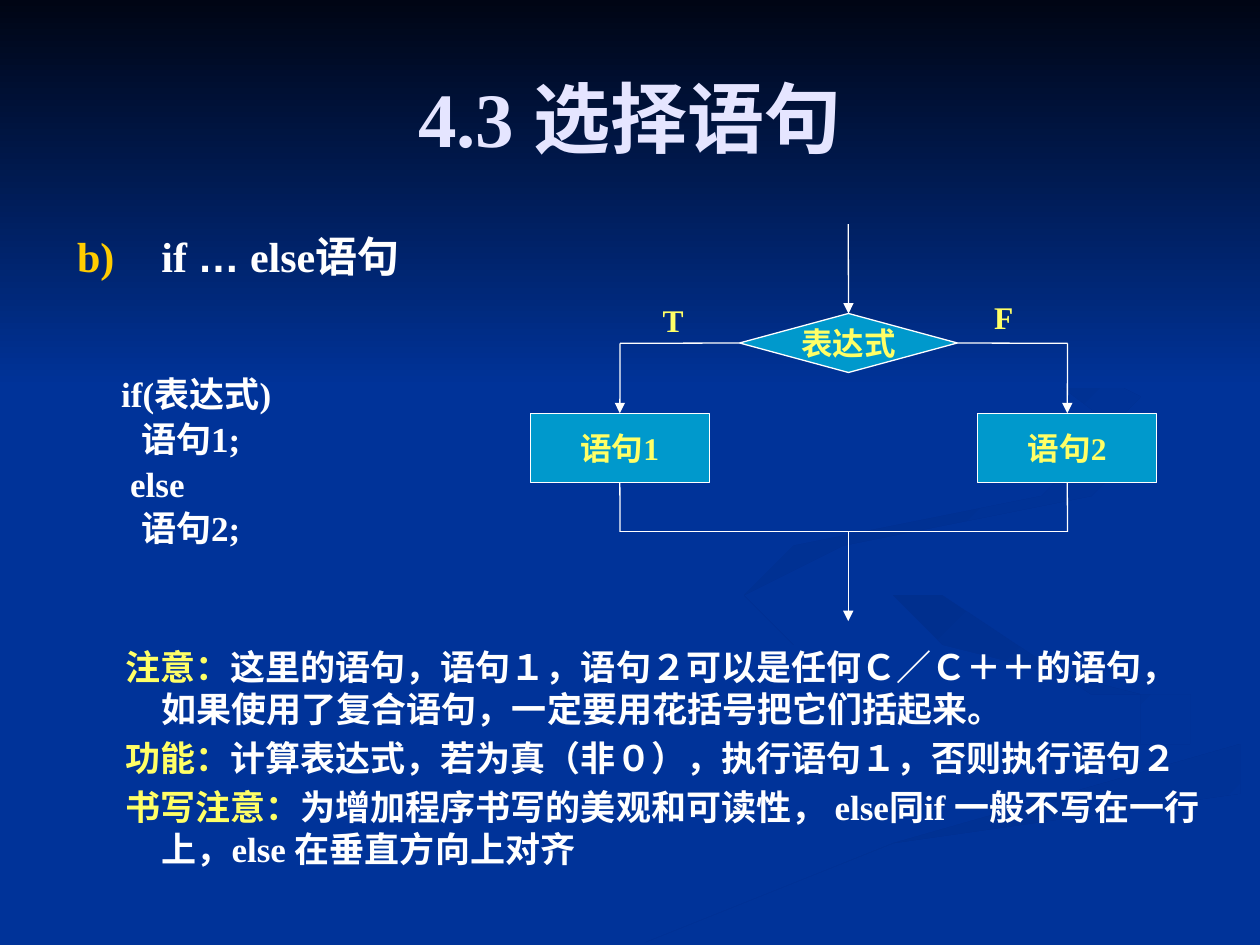
from lxml.etree import SubElement
from pptx import Presentation
from pptx.dml.color import RGBColor
from pptx.enum.shapes import MSO_CONNECTOR, MSO_SHAPE
from pptx.enum.text import MSO_ANCHOR, MSO_AUTO_SIZE, PP_ALIGN
from pptx.oxml.ns import qn
from pptx.util import Cm, Pt

COLORS = {
    "bg": "003399", "night": "000514", "swoosh": "002F8E", "title": "E5E5FF",
    "text": "FFFFFF", "accent": "FFFF66", "bullet": "FFCC00", "box": "0099CC",
}
SERIF = "Times New Roman"


def add_run(p, text, size, color, font=SERIF):
    r = p.add_run()
    r.text = text
    r.font.name = font
    r.font.size = Pt(size)
    r.font.bold = True
    r.font.color.rgb = RGBColor.from_string(COLORS[color])


def add_line(start, end, arrow=False, source=None, target=None):
    """Draw a line between points in cm; source and target are (shape, site)."""
    line = shapes.add_connector(MSO_CONNECTOR.STRAIGHT, *map(Cm, start + end))
    if source:
        line.begin_connect(*source)
    if target:
        line.end_connect(*target)
    line.line.color.rgb = RGBColor.from_string(COLORS["text"])
    line.line.width = Pt(0.75)
    if arrow:
        SubElement(line.line._get_or_add_ln(), qn("a:tailEnd"), type="triangle")
    SubElement(line._element.spPr, qn("a:effectLst"))


prs = Presentation()
prs.slide_width, prs.slide_height = Cm(25.4), Cm(19.05)
s = prs.slides.add_slide(prs.slide_layouts[1])
shapes = s.shapes
s.background.fill.solid()
s.background.fill.fore_color.rgb = RGBColor.from_string(COLORS["bg"])

# Backdrop: faint swooshes (points in cm) and a dark band at the top
swooshes = [
    [(17.3, 10.9), (21.7, 9.9), (22.7, 8.7), (19.4, 5.9), (22.6, 8.5),
     (21.1, 9.8), (15.9, 10.8), (14.7, 11.7), (15.8, 12.7), (15.3, 11.6)],
    [(24, 14.5), (21.6, 13.5), (18.9, 12.4), (18.4, 11.8), (19.4, 13),
     (22.7, 14), (23.3, 14.8), (22.7, 15.4), (23.9, 14.8)],
    [(12.8, 19), (18.3, 17.3), (25.4, 15.5), (25.4, 14.8), (17.7, 17), (13.2, 19)],
]
backdrop = []
for first, *rest in swooshes:
    outline = shapes.build_freeform(*first, scale=Cm(1))
    outline.add_line_segments(rest, close=True)
    backdrop.append((outline.convert_to_shape(), "swoosh", 315))
band = shapes.add_shape(MSO_SHAPE.RECTANGLE, 0, 0, prs.slide_width, Cm(7.82))
backdrop.append((band, "night", 270))
for sp, color, angle in backdrop:
    sp.shadow.inherit = False
    sp.line.fill.background()
    sp.fill.gradient()
    sp.fill.gradient_angle = angle
    for position, (stop, name) in enumerate(zip(sp.fill.gradient_stops, (color, "bg"))):
        stop.color.rgb = RGBColor.from_string(COLORS[name])
        stop.position = position

# Title and body, brought in front of the backdrop
title, body = shapes.title, s.placeholders[1]
for ph, box in ((title, (1.27, 0.76, 22.86, 3.18)), (body, (1.3, 4.32, 23.24, 14.2))):
    shapes._spTree.append(ph._element)
    ph.left, ph.top, ph.width, ph.height = map(Cm, box)
    ph.text_frame.auto_size = MSO_AUTO_SIZE.NONE
title.text_frame.vertical_anchor = MSO_ANCHOR.MIDDLE
p = title.text_frame.paragraphs[0]
p.alignment = PP_ALIGN.CENTER
add_run(p, "4.3 选择语句", 44, "title")

# Paragraphs: left margin and indent (cm), line spacing, space before (pt), runs
paragraphs = [
    (1.7, -1.7, 1.2, 0, [("if ", "text"), ("…", "text", "Arial"), (" else语句", "text")]),
    (0.89, 0, 0.9, 55, [("if(表达式)", "text")]),
    (1.29, 0, 0.9, 4, [("语句1;", "text")]),
    (1.07, 0, 0.9, 4, [("else", "text")]),
    (1.29, 0, 0.9, 4, [("语句2;", "text")]),
    (1.7, -0.73, 1, 55, [
        ("注意：", "accent"),
        ("这里的语句，语句１，语句２可以是任何Ｃ／Ｃ＋＋的语句，"
         "如果使用了复合语句，一定要用花括号把它们括起来。", "text")]),
    (1.7, -0.73, 1, 4, [
        ("功能：", "accent"),
        ("计算表达式，若为真（非０），执行语句１，否则执行语句２", "text")]),
    (1.7, -0.73, 1, 4, [
        ("书写注意：", "accent"),
        ("为增加程序书写的美观和可读性， else同if 一般不写在一行上，"
         "else 在垂直方向上对齐", "text")]),
]
tf = body.text_frame
for i, (margin, indent, spacing, before, runs) in enumerate(paragraphs):
    p = tf.add_paragraph() if i else tf.paragraphs[0]
    p.line_spacing = spacing
    p.space_before = Pt(before)
    pPr = p._p.get_or_add_pPr()
    pPr.set("marL", str(Cm(margin)))
    pPr.set("indent", str(Cm(indent)))
    if i == 0:
        SubElement(SubElement(pPr, qn("a:buClr")), qn("a:srgbClr"), val=COLORS["bullet"])
        SubElement(pPr, qn("a:buFont"), typeface=SERIF)
        SubElement(pPr, qn("a:buAutoNum"), type="alphaLcParenR", startAt="2")
    else:
        SubElement(pPr, qn("a:buNone"))
    for text, color, *font in runs:
        add_run(p, text, 20 if i else 24, color, *font)

# Flowchart nodes
nodes = []
for kind, text, box in (
    (MSO_SHAPE.FLOWCHART_DECISION, "表达式", (14.91, 6.32, 4.39, 1.19)),
    (MSO_SHAPE.FLOWCHART_PROCESS, "语句1", (10.69, 8.33, 3.61, 1.4)),
    (MSO_SHAPE.FLOWCHART_PROCESS, "语句2", (19.71, 8.33, 3.61, 1.4)),
):
    sp = shapes.add_shape(kind, *map(Cm, box))
    sp.shadow.inherit = False
    sp.fill.solid()
    sp.fill.fore_color.rgb = RGBColor.from_string(COLORS["box"])
    sp.line.color.rgb = RGBColor.from_string(COLORS["text"])
    sp.line.width = Pt(0.75)
    sp.text_frame.word_wrap = False
    sp.text_frame.vertical_anchor = MSO_ANCHOR.MIDDLE
    p = sp.text_frame.paragraphs[0]
    p.alignment = PP_ALIGN.CENTER
    add_run(p, text, 18, "accent")
    nodes.append(sp)
decision, then_box, else_box = nodes

# Flow lines
mid_x, then_x, else_x = 17.1, 12.5, 21.52
branch_y, box_top, box_bottom, merge_y = 6.92, 8.33, 9.73, 10.72
add_line((mid_x, 4.52), (mid_x, 6.32), arrow=True, target=(decision, 0))
for box, x, side in ((then_box, then_x, 1), (else_box, else_x, 3)):
    add_line((mid_x, branch_y), (x, branch_y), source=(decision, side))
    add_line((x, branch_y), (x, box_top), arrow=True, target=(box, 0))
    add_line((x, box_bottom), (x, merge_y), source=(box, 2))
add_line((then_x, merge_y), (else_x, merge_y))
add_line((mid_x, merge_y), (mid_x, 12.52), arrow=True)

# Branch labels
for text, x, y in (("T", 13.11, 5.94), ("F", 19.79, 5.89)):
    tf = shapes.add_textbox(Cm(x), Cm(y), Cm(0.93), Cm(1.02)).text_frame
    tf.word_wrap = False
    add_run(tf.paragraphs[0], text, 18, "accent")

prs.save("out.pptx")
